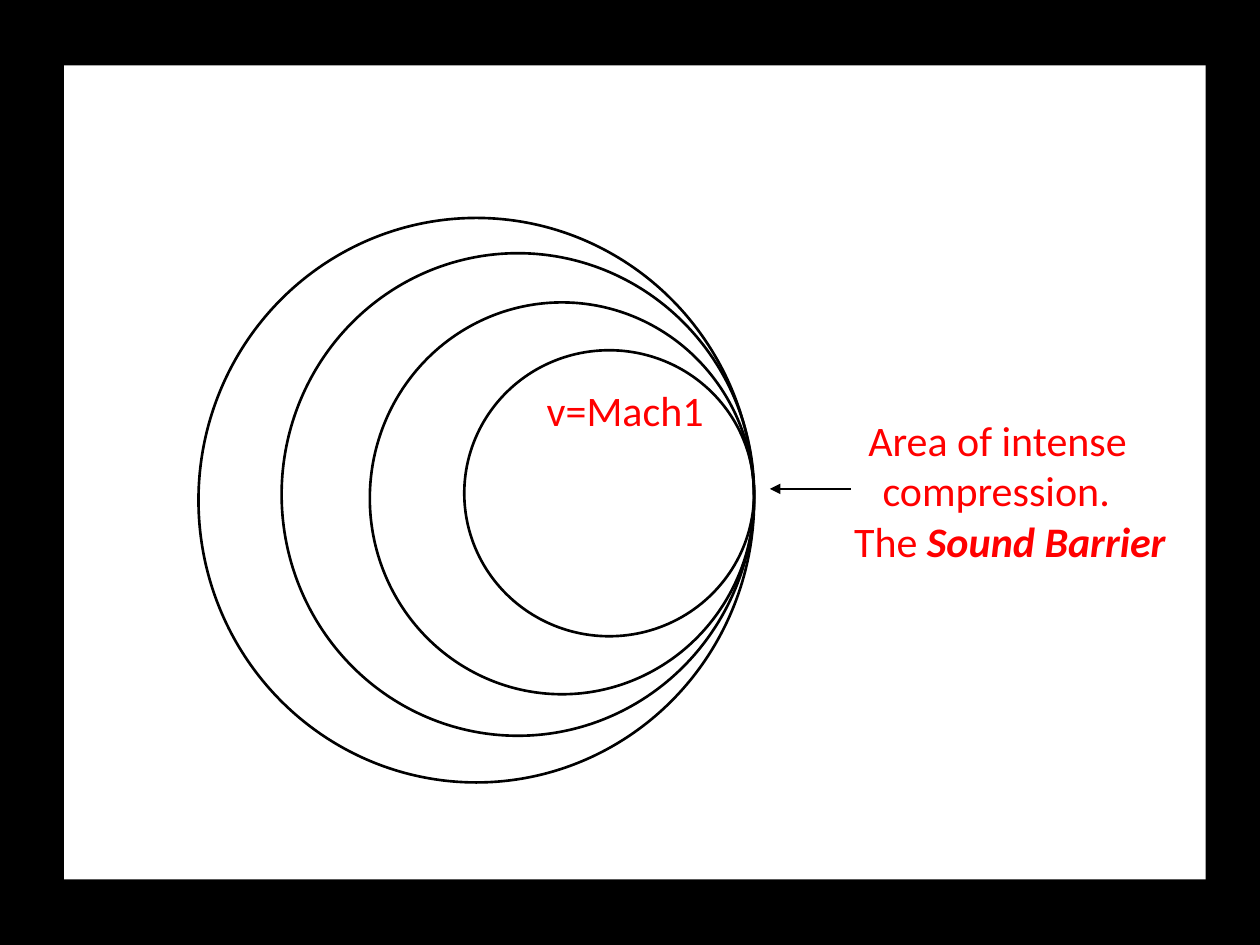
"""Build a slide of sound waves bunching up at Mach 1."""
import pptx
import pptx.dml.color
import pptx.enum.shapes
import pptx.enum.text
import pptx.oxml.ns
import pptx.util
import lxml.etree

SHAPES = pptx.enum.shapes.MSO_SHAPE


def colour(hex_code):
    return pptx.dml.color.RGBColor.from_string(hex_code)


class WaveSlide:
    columns, rows = 100, 75
    ink, accent, paper, backdrop = "000000", "FF0000", "FFFFFF", "000000"
    font, text_size, line_width = "Calibri", 24, 1.5

    def __init__(self, deck):
        self.column = deck.slide_width / self.columns
        self.row = deck.slide_height / self.rows
        self.slide = deck.slides.add_slide(deck.slide_layouts[6])
        self.slide.background.fill.solid()
        self.slide.background.fill.fore_color.rgb = colour(self.backdrop)

    def across(self, count):
        return pptx.util.Emu(round(count * self.column))

    def down(self, count):
        return pptx.util.Emu(round(count * self.row))

    def area(self, left, top, width, height):
        return self.across(left), self.down(top), self.across(width), self.down(height)

    def stroke(self, line):
        line.color.rgb = colour(self.ink)
        line.width = pptx.util.Pt(self.line_width)

    def panel(self, *area):
        sheet = self.slide.shapes.add_shape(SHAPES.RECTANGLE, *self.area(*area))
        sheet.shadow.inherit = False
        sheet.fill.solid()
        sheet.fill.fore_color.rgb = colour(self.paper)
        sheet.line.fill.background()

    def wave(self, front, middle, width, height):
        area = self.area(front - width, middle - height / 2, width, height)
        ring = self.slide.shapes.add_shape(SHAPES.OVAL, *area)
        ring.shadow.inherit = False
        ring.fill.background()
        self.stroke(ring.line)

    def label(self, area, lines):
        box = self.slide.shapes.add_textbox(*self.area(*area))
        frame = box.text_frame
        frame.word_wrap = False
        frame.auto_size = pptx.enum.text.MSO_AUTO_SIZE.SHAPE_TO_FIT_TEXT
        for number, (indent, plain, strong) in enumerate(lines):
            paragraph = frame.add_paragraph() if number else frame.paragraphs[0]
            paragraph.text = plain
            paragraph._p.get_or_add_pPr().set("marL", str(self.across(indent)))
            if strong:
                emphasis = paragraph.add_run()
                emphasis.text = strong
                emphasis.font.bold = emphasis.font.italic = True
            for run in paragraph.runs:
                run.font.name = self.font
                run.font.size = pptx.util.Pt(self.text_size)
                run.font.color.rgb = colour(self.accent)

    def arrow(self, start, end, height):
        pointer = self.slide.shapes.add_connector(
            pptx.enum.shapes.MSO_CONNECTOR.STRAIGHT,
            self.across(start), self.down(height), self.across(end), self.down(height))
        self.stroke(pointer.line)
        qn = pptx.oxml.ns.qn
        lxml.etree.SubElement(pointer.line._get_or_add_ln(), qn("a:tailEnd"), type="triangle")
        lxml.etree.SubElement(pointer._element.spPr, qn("a:effectLst"))


def main():
    deck = pptx.Presentation()
    deck.slide_width, deck.slide_height = pptx.util.Inches(10), pptx.util.Inches(7.5)
    barrier = WaveSlide(deck)
    barrier.panel(5.1, 5.2, 90.6, 64.6)
    wave_sizes = [(39.15, 23, 22.7), (39.25, 37.5, 38.3), (39.55, 30.5, 31.1), (39.7, 44.1, 44.8)]
    for middle, width, height in wave_sizes:
        barrier.wave(59.85, middle, width, height)
    barrier.label((42.4, 30, 14.5, 5.1), [(0, "v=Mach1", "")])
    barrier.label((66.8, 32.4, 27.1, 13.1), [
        (1.13, "Area of intense", ""),
        (2.26, "compression.", ""),
        (0, "The ", "Sound Barrier"),
    ])
    barrier.arrow(67.5, 61.1, 38.8)
    deck.save("out.pptx")


if __name__ == "__main__":
    main()
